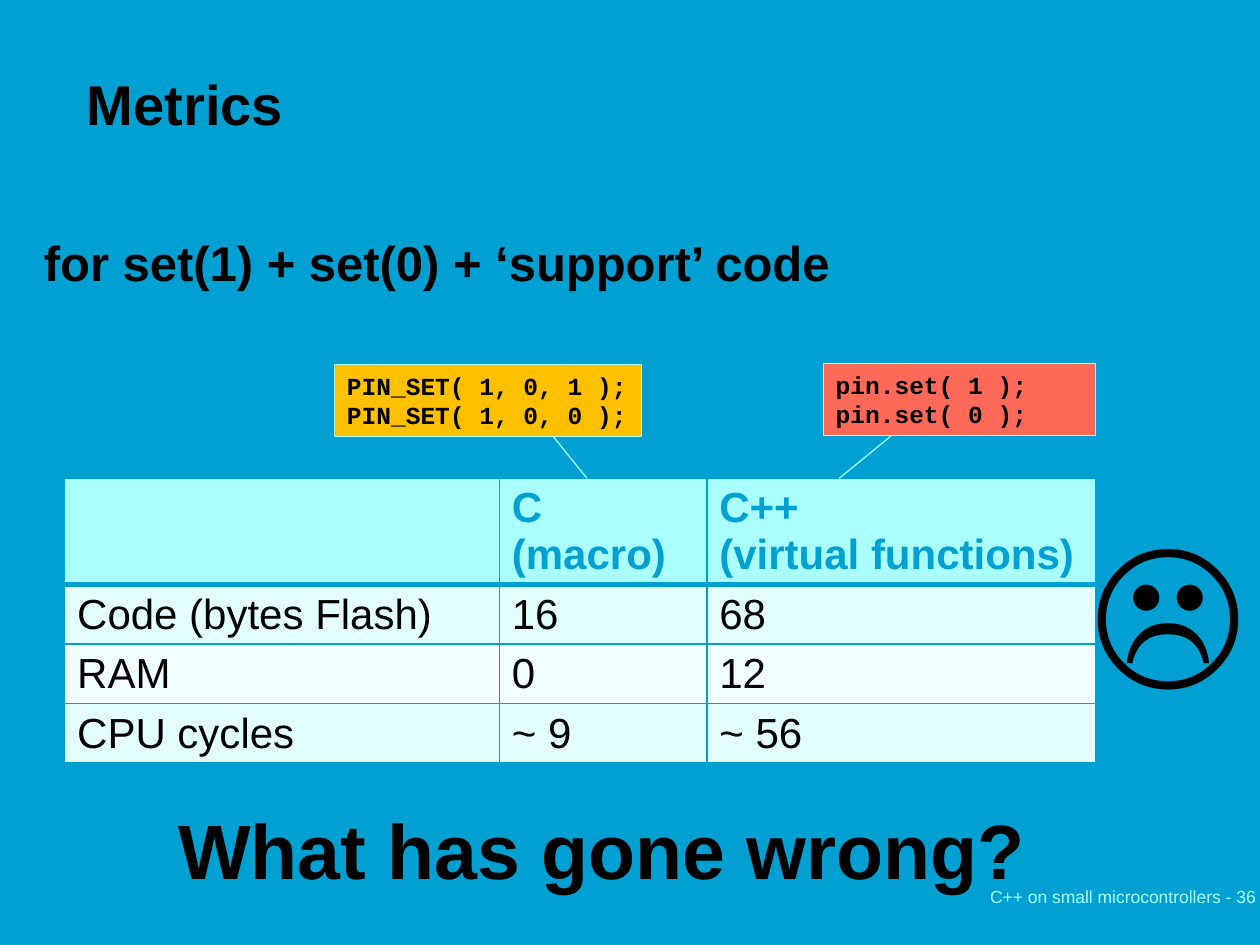
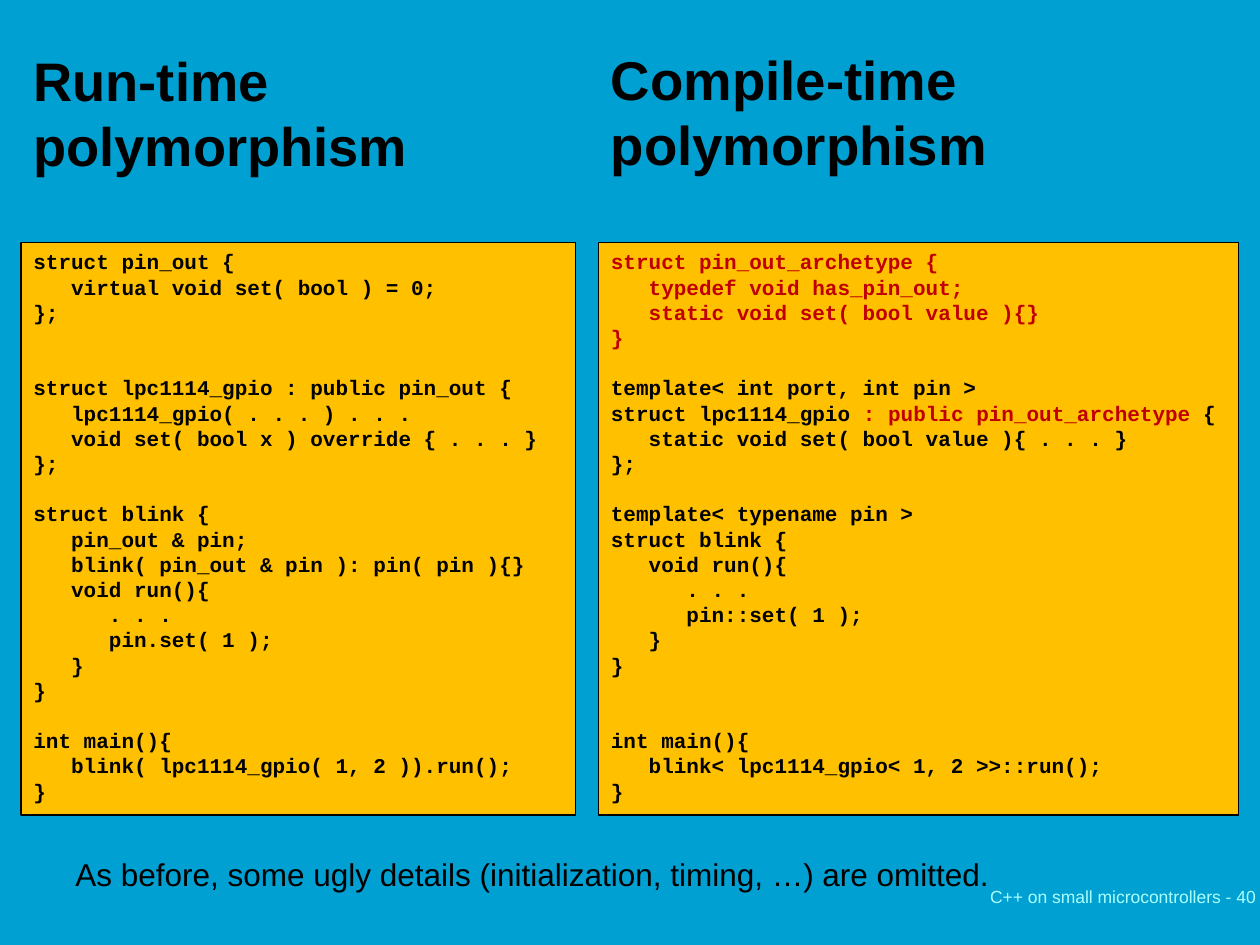
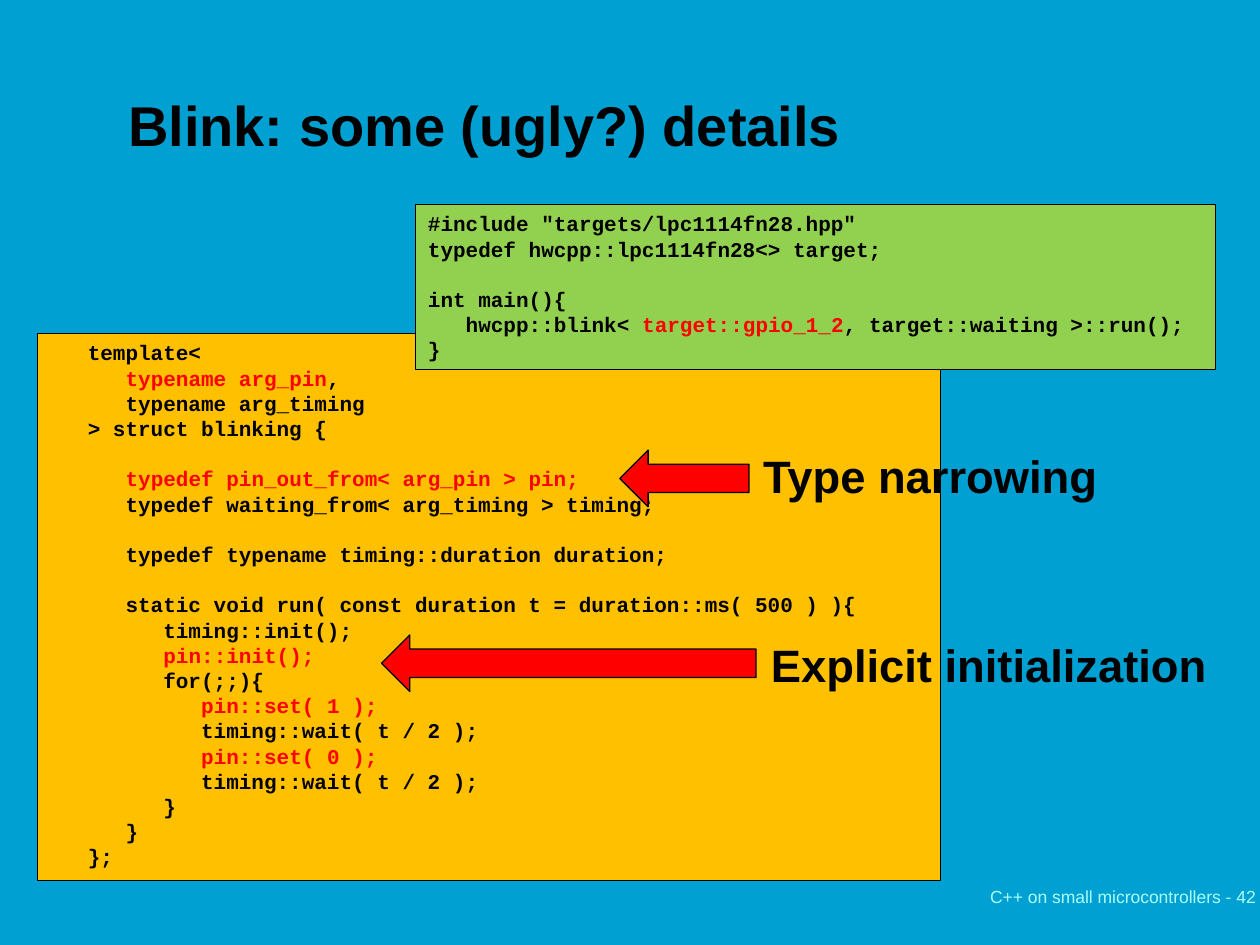
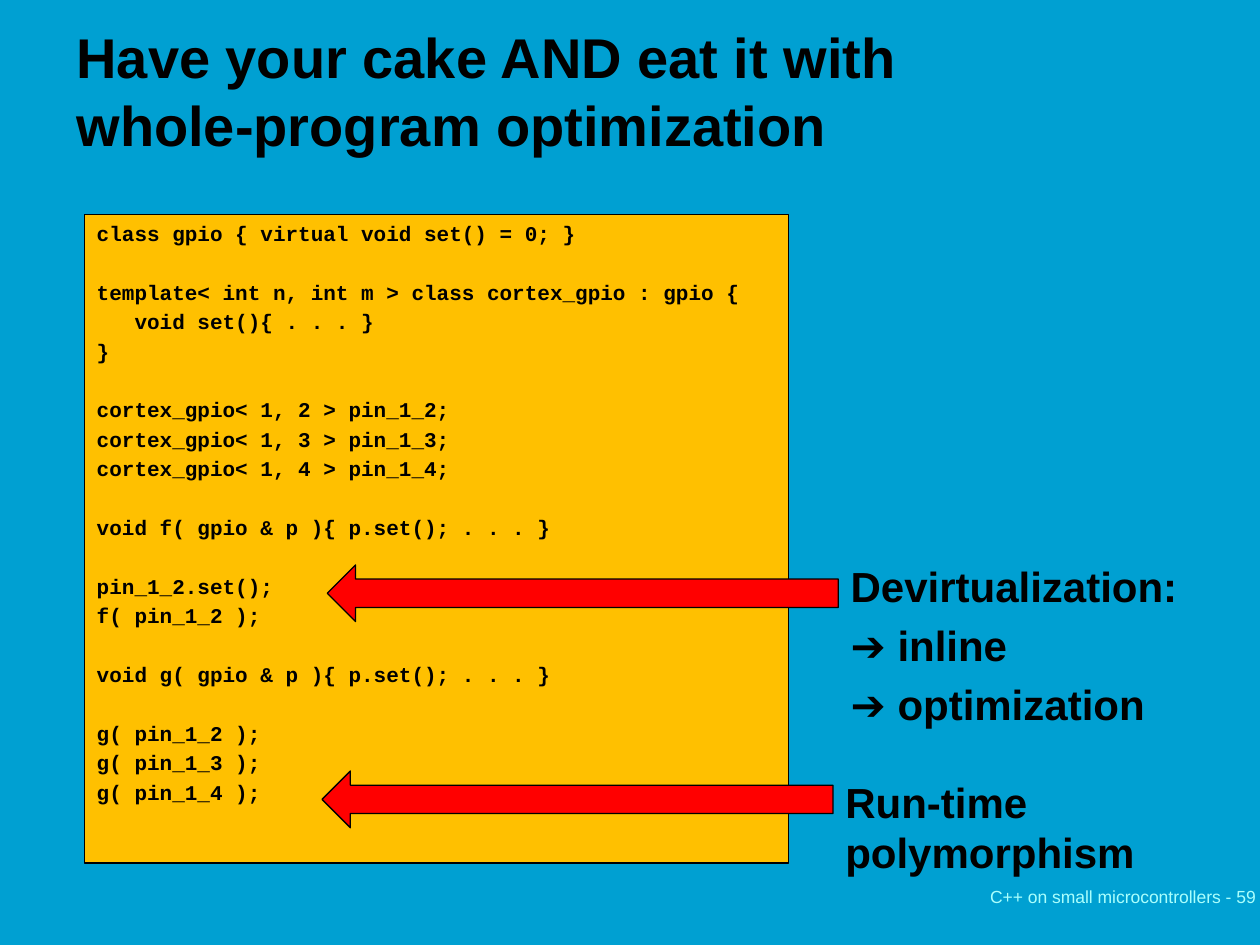
import pptx
import pptx.util
import pptx.dml.color
import pptx.enum.shapes
import pptx.enum.text
import pptx.oxml
import pptx.oxml.ns

Pt = pptx.util.Pt
SHAPES = pptx.enum.shapes.MSO_SHAPE
ANCHOR = pptx.enum.text.MSO_ANCHOR
ALIGN = pptx.enum.text.PP_ALIGN

# Shared look
BLUE, CYAN, BLACK, RED = "00A0D2", "AAFFFD", "000000", "FF0000"
AMBER, CORAL, GREEN, DARK_RED = "FFC000", "FF6A58", "92D050", "C00000"
LEADING = 1.2


def rgb(hex_color):
    return pptx.dml.color.RGBColor.from_string(hex_color)


def write(frame, text, size, face="Arial", bold=True, color=BLACK, accent=RED,
          align=ALIGN.LEFT, anchor=ANCHOR.TOP, gap=0, leading=LEADING):
    """One paragraph a line; |bars| enclose accented words; blank lines become space."""
    frame.word_wrap = True
    frame.auto_size = pptx.enum.text.MSO_AUTO_SIZE.NONE
    frame.vertical_anchor = anchor
    paragraph, space = frame.paragraphs[0], 0
    for line in text.split("\n"):
        if not line:
            space += size * LEADING + gap
            continue
        if paragraph.runs:
            paragraph = frame.add_paragraph()
            paragraph.space_before = Pt(space)
        space = gap
        paragraph.alignment = align
        if leading:
            paragraph.line_spacing = Pt(size * leading)
        font = paragraph.font
        font.name, font.size, font.bold = face, Pt(size), bold
        font.color.rgb = rgb(color)
        for index, words in enumerate(line.split("|")):
            if words:
                run = paragraph.add_run()
                run.text = words
                if index % 2:
                    run.font.color.rgb = rgb(accent)


deck = pptx.Presentation()
deck.slide_width, deck.slide_height = Pt(720), Pt(540)
background = deck.slide_master.background.fill
background.solid()
background.fore_color.rgb = rgb(BLUE)

# Slides with title and footer
slides = []
for number, title, size, box in [
    (36, "Metrics", 32, (42.5, 26, 493, 56)),
    (40, "Run-time polymorphism", 31, (12, 15, 293, 90)),
    (42, "Blink: some (ugly?) details", 32, (66, 48, 486, 45.5)),
    (59, "Have your cake AND eat it with whole-program optimization", 32,
     (36.5, 8.5, 515.5, 85)),
]:
    slide = deck.slides.add_slide(deck.slide_layouts[5])
    heading = slide.shapes.title
    heading.left, heading.top, heading.width, heading.height = map(Pt, box)
    write(heading.text_frame, title, size, anchor=ANCHOR.BOTTOM)
    footer = slide.shapes.add_textbox(Pt(558.7), Pt(494.6), Pt(149.8), Pt(36)).text_frame
    write(footer, f"C++ on small microcontrollers - {number}", 10, bold=False,
          color=CYAN, anchor=ANCHOR.MIDDLE)
    footer.word_wrap = False
    slides.append(slide)
metrics, polymorphism, details, optimization = slides

# Code listings
macro_calls = """PIN_SET( 1, 0, 1 );
PIN_SET( 1, 0, 0 );"""

virtual_calls = """pin.set( 1 );
pin.set( 0 );"""

run_time = """struct pin_out {
   virtual void set( bool ) = 0;
};


struct lpc1114_gpio : public pin_out {
   lpc1114_gpio( . . . ) . . .
   void set( bool x ) override { . . . }
};

struct blink {
   pin_out & pin;
   blink( pin_out & pin ): pin( pin ){}
   void run(){
      . . .
      pin.set( 1 );
   }
}

int main(){
   blink( lpc1114_gpio( 1, 2 )).run();
}"""

compile_time = """|struct pin_out_archetype {|
|   typedef void has_pin_out;|
|   static void set( bool value ){}|
|}|

template< int port, int pin >
struct lpc1114_gpio |: public pin_out_archetype |{
   static void set( bool value ){ . . . }
};

template< typename pin >
struct blink {
   void run(){
      . . .
      pin::set( 1 );
   }
}


int main(){
   blink< lpc1114_gpio< 1, 2 >>::run();
}"""

blinking = """   template<
      |typename arg_pin|,
      typename arg_timing
   > struct blinking {

      |typedef pin_out_from< arg_pin > pin;|
      typedef waiting_from< arg_timing > timing;

      typedef typename timing::duration duration;

      static void run( const duration t = duration::ms( 500 ) ){
         timing::init();
         |pin::init();|
         for(;;){
            |pin::set( 1 );|
            timing::wait( t / 2 );
            |pin::set( 0 );|
            timing::wait( t / 2 );
         }
      }
   };"""

blink_main = """#include "targets/lpc1114fn28.hpp"
typedef hwcpp::lpc1114fn28<> target;

int main(){
   hwcpp::blink< |target::gpio_1_2|, target::waiting >::run();
}"""

whole_program = """class gpio { virtual void set() = 0; }

template< int n, int m > class cortex_gpio : gpio {
   void set(){ . . . }
}

cortex_gpio< 1, 2 > pin_1_2;
cortex_gpio< 1, 3 > pin_1_3;
cortex_gpio< 1, 4 > pin_1_4;

void f( gpio & p ){ p.set(); . . . }

pin_1_2.set();
f( pin_1_2 );

void g( gpio & p ){ p.set(); . . . }

g( pin_1_2 );
g( pin_1_3 );
g( pin_1_4 );"""

# Code panels
for slide, code, box, fill, border, size, accent, gap in [
    (metrics, virtual_calls, (470.5, 207.7, 155.5, 41.2), CORAL, CYAN, 14, RED, 0),
    (metrics, macro_calls, (191.2, 208.2, 175.3, 41.2), AMBER, CYAN, 14, RED, 0),
    (polymorphism, run_time, (12, 138.7, 317, 327), AMBER, BLACK, 12, RED, 0),
    (polymorphism, compile_time, (342, 138.7, 365.8, 327), AMBER, BLACK, 12, DARK_RED, 0),
    (details, blinking, (21.5, 190.7, 516, 312.3), AMBER, BLACK, 12, RED, 0),
    (details, blink_main, (237.5, 117, 457, 94), GREEN, BLACK, 12, RED, 0),
    (optimization, whole_program, (48.2, 122.4, 402.5, 370.8), AMBER, BLACK, 12, RED, 2.4),
]:
    panel = slide.shapes.add_shape(SHAPES.RECTANGLE, *map(Pt, box))
    panel.shadow.inherit = False
    panel.fill.solid()
    panel.fill.fore_color.rgb = rgb(fill)
    panel.line.color.rgb = rgb(border)
    panel.line.width = Pt(0.75)
    write(panel.text_frame, code, size, "Courier New", accent=accent, gap=gap)

# Metrics table
rows = [
    ("", "C\n(macro)", "C++\n(virtual functions)"),
    ("Code (bytes Flash)", "16", "68"),
    ("RAM", "0", "12"),
    ("CPU cycles", "~ 9", "~ 56"),
]
comparison = metrics.shapes.add_table(
    4, 3, Pt(36.9), Pt(273.4), Pt(589.2), Pt(162)).table
comparison.horz_banding = False
for column, width in zip(comparison.columns, (248.4, 118.6, 222.2)):
    column.width = Pt(width)
for row, (values, fill) in enumerate(zip(rows, (CYAN, "E2FFFE", "F1FFFF", "E2FFFE"))):
    comparison.rows[row].height = Pt(34 if row else 60)
    for column, value in enumerate(values):
        cell = comparison.cell(row, column)
        for side in "LRTB":
            heavy = (row, side) in ((0, "B"), (1, "T"))
            cell._tc.get_or_add_tcPr().append(pptx.oxml.parse_xml(
                f'<a:ln{side} {pptx.oxml.ns.nsdecls("a")} w="{Pt(3 if heavy else 1)}">'
                f'<a:solidFill><a:srgbClr val="{BLUE}"/></a:solidFill></a:ln{side}>'))
        cell.fill.solid()
        cell.fill.fore_color.rgb = rgb(fill)
        write(cell.text_frame, value, 24, bold=row == 0,
              color=BLACK if row else BLUE, leading=None)

# Lines from the calls to their table columns
for start_x, end_x in [(316, 335.5), (509, 479.5)]:
    pointer = metrics.shapes.add_connector(
        pptx.enum.shapes.MSO_CONNECTOR.STRAIGHT,
        Pt(start_x), Pt(249.3), Pt(end_x), Pt(273.4))
    pointer.line.color.rgb = rgb("A4FBF9")
    pointer.line.width = Pt(0.75)
    pointer._element.spPr.append(
        pptx.oxml.parse_xml(f'<a:effectLst {pptx.oxml.ns.nsdecls("a")}/>'))

# Red arrows pointing into the code
for slide, left, top, width in [
    (details, 354.2, 257.2, 73.8),
    (details, 218, 362.8, 214),
    (optimization, 187, 322.8, 292),
    (optimization, 184, 440.6, 292),
]:
    arrow = slide.shapes.add_shape(
        SHAPES.LEFT_ARROW, Pt(left), Pt(top), Pt(width), Pt(32.4))
    arrow.shadow.inherit = False
    arrow.fill.solid()
    arrow.fill.fore_color.rgb = rgb(RED)
    arrow.line.color.rgb = rgb(BLACK)
    arrow.line.width = Pt(0.75)

# Statements and labels
for slide, text, box, size, bold, align, anchor in [
    (metrics, "What has gone wrong?", (20, 440, 648, 90), 44, True,
     ALIGN.CENTER, ANCHOR.MIDDLE),
    (metrics, "☹", (609, 298, 117.4, 90), 96, True, ALIGN.CENTER, ANCHOR.MIDDLE),
    (metrics, "for set(1) + set(0) + ‘support’ code", (18, 129.6, 697.7, 55.4), 28, True,
     ALIGN.LEFT, ANCHOR.TOP),
    (polymorphism, "As before, some ugly details (initialization, timing, …) are omitted.",
     (36, 485.3, 624.2, 36.7), 18, False, ALIGN.LEFT, ANCHOR.TOP),
    (polymorphism, "Compile-time polymorphism", (342, 9.4, 324, 108), 31.2, True,
     ALIGN.LEFT, ANCHOR.MIDDLE),
    (details, "Type narrowing", (429, 252.7, 296, 36.7), 25.9, True,
     ALIGN.LEFT, ANCHOR.TOP),
    (details, "Explicit initialization", (433.5, 360.7, 296, 36.7), 25.9, True,
     ALIGN.LEFT, ANCHOR.TOP),
    (optimization, "Devirtualization:\n➔ inline\n➔ optimization",
     (479, 316.8, 232.5, 105.8), 24, True, ALIGN.LEFT, ANCHOR.TOP),
    (optimization, "Run-time polymorphism", (476, 440, 232.5, 65.5), 24, True,
     ALIGN.LEFT, ANCHOR.TOP),
]:
    label = slide.shapes.add_textbox(*map(Pt, box))
    write(label.text_frame, text, size, bold=bold, align=align, anchor=anchor,
          gap=size * 0.2)

deck.save("out.pptx")
